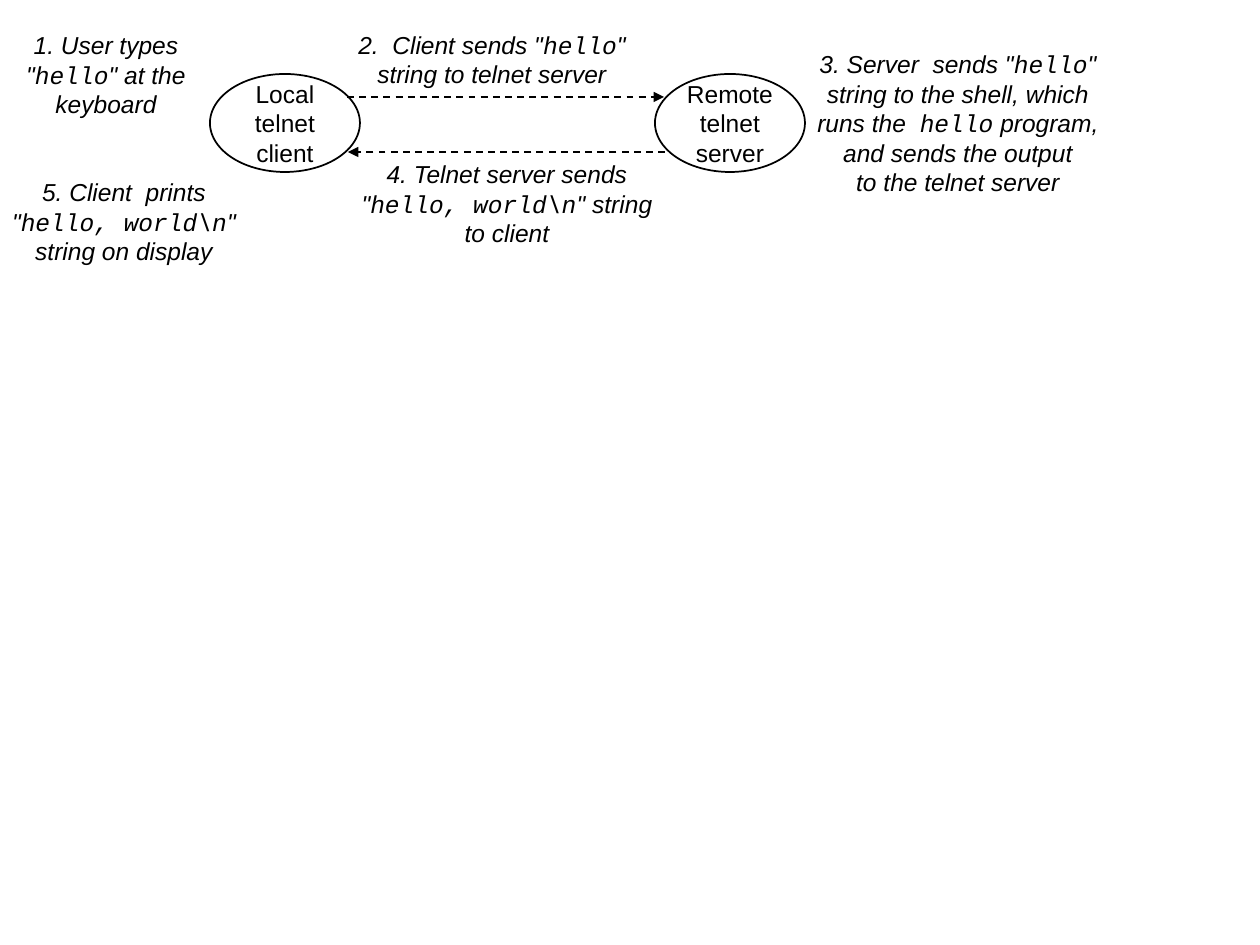
"""Build a slide showing how a telnet session runs the hello program."""
from lxml import etree
from pptx import Presentation
from pptx.dml.color import RGBColor
from pptx.enum.dml import MSO_LINE
from pptx.enum.shapes import MSO_CONNECTOR, MSO_SHAPE
from pptx.enum.text import MSO_ANCHOR, MSO_AUTO_SIZE, PP_ALIGN
from pptx.oxml.ns import qn
from pptx.util import Emu, Pt

ELLIPSE = MSO_SHAPE.OVAL
STRAIGHT = MSO_CONNECTOR.STRAIGHT
DASH = MSO_LINE.DASH
MIDDLE = MSO_ANCHOR.MIDDLE
CENTER = PP_ALIGN.CENTER
FIT_SHAPE = MSO_AUTO_SIZE.SHAPE_TO_FIT_TEXT

EMU_PER_INCH = 914400
PX_PER_INCH = 126
COLORS = {"ink": "000000", "paper": "FFFFFF"}
TEXT_FONT = "Arial"
CODE_FONT = "Courier New"
TEXT_SIZE = Pt(14)
LINE_WIDTH = Pt(1)
HOST_SIZE = (150, 98)
HOST_TOP = 74
LABEL_SIDE_MARGIN = 6

LABELS = {
    "send": ((346, 23, 292, 72), ['2.  Client sends "`hello`"', "string to telnet server"]),
    "shell": ((802, 43, 312, 160), [
        '3. Server  sends "`hello`"', "string to the shell, which",
        "runs the  `hello` program,", "and sends the output", "to the telnet server"]),
    "reply": ((349, 153, 316, 101), [
        "4. Telnet server sends", '"`hello, world\\n`" string', "to client"]),
    "print": ((0, 171, 248, 101), [
        "5. Client  prints", '"`hello, world\\n`"', "string on display"]),
    "type": ((14, 24, 184, 101), ["1. User types", '"`hello`" at the', "keyboard"]),
}


def px(value):
    """Turn pixels into EMU."""
    return Emu(round(value * EMU_PER_INCH / PX_PER_INCH))


def color(name):
    """Look up a named colour."""
    return RGBColor.from_string(COLORS[name])


def write_lines(text_frame, lines, italic=False):
    """Write centred lines, setting the parts between backticks as code."""
    text_frame.word_wrap = False
    text_frame.vertical_anchor = MIDDLE
    for index, line in enumerate(lines):
        paragraph = text_frame.add_paragraph() if index else text_frame.paragraphs[0]
        paragraph.alignment = CENTER
        font = paragraph.font
        font.name, font.size, font.italic = TEXT_FONT, TEXT_SIZE, italic
        font.color.rgb = color("ink")
        for position, part in enumerate(line.split("`")):
            run = paragraph.add_run()
            run.text = part
            if position % 2:
                run.font.name = CODE_FONT


def add_host(slide, left, lines):
    """Add an outlined ellipse for one end of the session."""
    shape = slide.shapes.add_shape(ELLIPSE, px(left), px(HOST_TOP), *map(px, HOST_SIZE))
    shape.shadow.inherit = False
    shape.fill.solid()
    shape.fill.fore_color.rgb = color("paper")
    shape.line.color.rgb = color("ink")
    shape.line.width = LINE_WIDTH
    write_lines(shape.text_frame, lines)


def add_message_arrow(slide, start, end, top):
    """Add a horizontal dashed arrow pointing at its end."""
    connector = slide.shapes.add_connector(STRAIGHT, px(start), px(top), px(end), px(top))
    line = connector.line
    line.color.rgb = color("ink")
    line.width = LINE_WIDTH
    line.dash_style = DASH
    properties = connector.element.spPr
    etree.SubElement(properties.find(qn("a:ln")), qn("a:tailEnd"), type="triangle")
    etree.SubElement(properties, qn("a:effectLst"))


def add_label(slide, name):
    """Add the italic description of one step."""
    box, lines = LABELS[name]
    text_frame = slide.shapes.add_textbox(*map(px, box)).text_frame
    text_frame.margin_left = text_frame.margin_right = px(LABEL_SIDE_MARGIN)
    write_lines(text_frame, lines, italic=True)
    text_frame.auto_size = FIT_SHAPE


def main():
    """Build and save the slide."""
    presentation = Presentation()
    presentation.slide_width = px(1260)
    presentation.slide_height = px(945)
    slide = presentation.slides.add_slide(presentation.slide_layouts[6])
    add_host(slide, 210, ["Local", "telnet", "client"])
    add_message_arrow(slide, 347, 664, 97)
    add_host(slide, 655, ["Remote", "telnet", "server"])
    add_message_arrow(slide, 665, 348, 152)
    for name in LABELS:
        add_label(slide, name)
    presentation.save("out.pptx")


if __name__ == "__main__":
    main()
